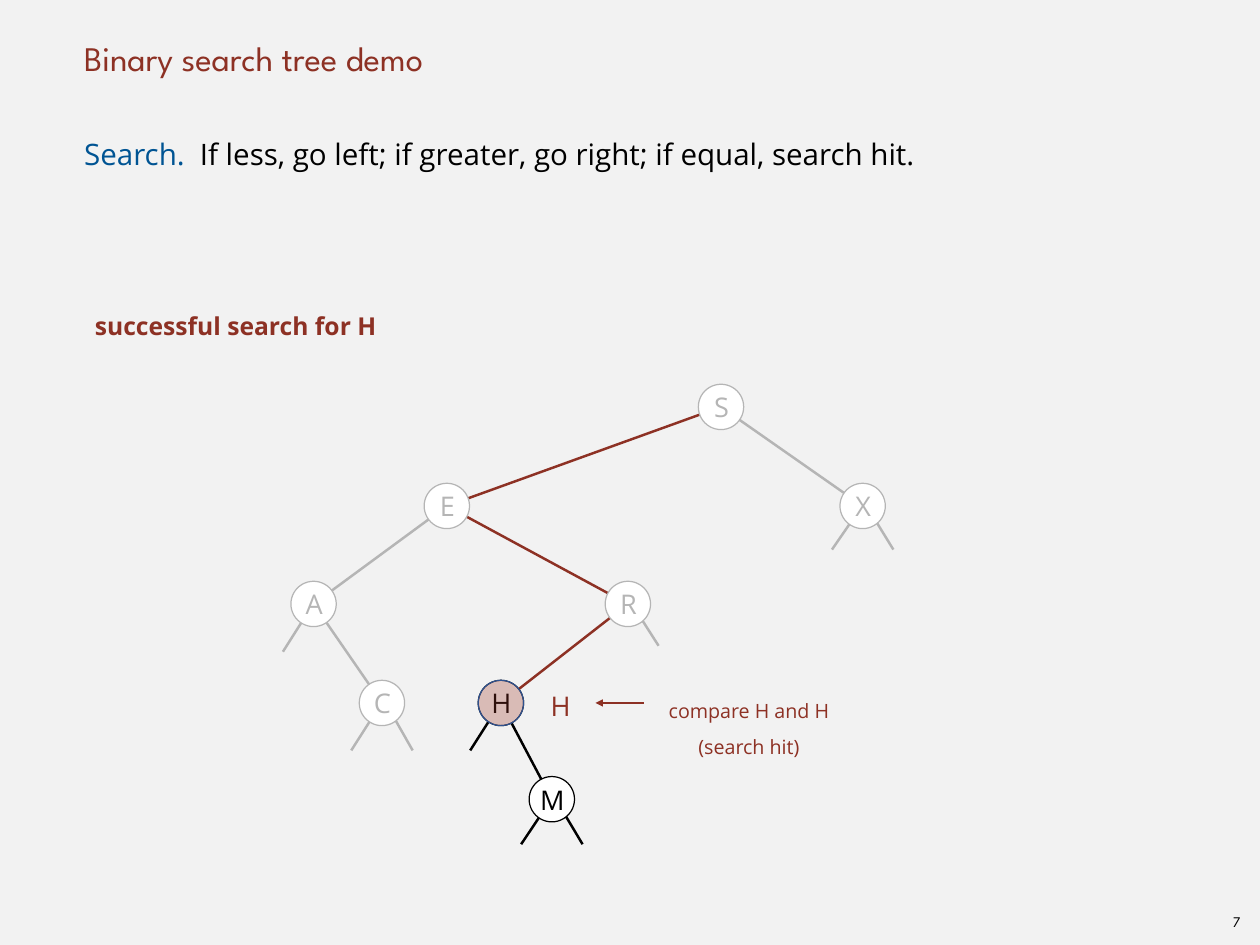
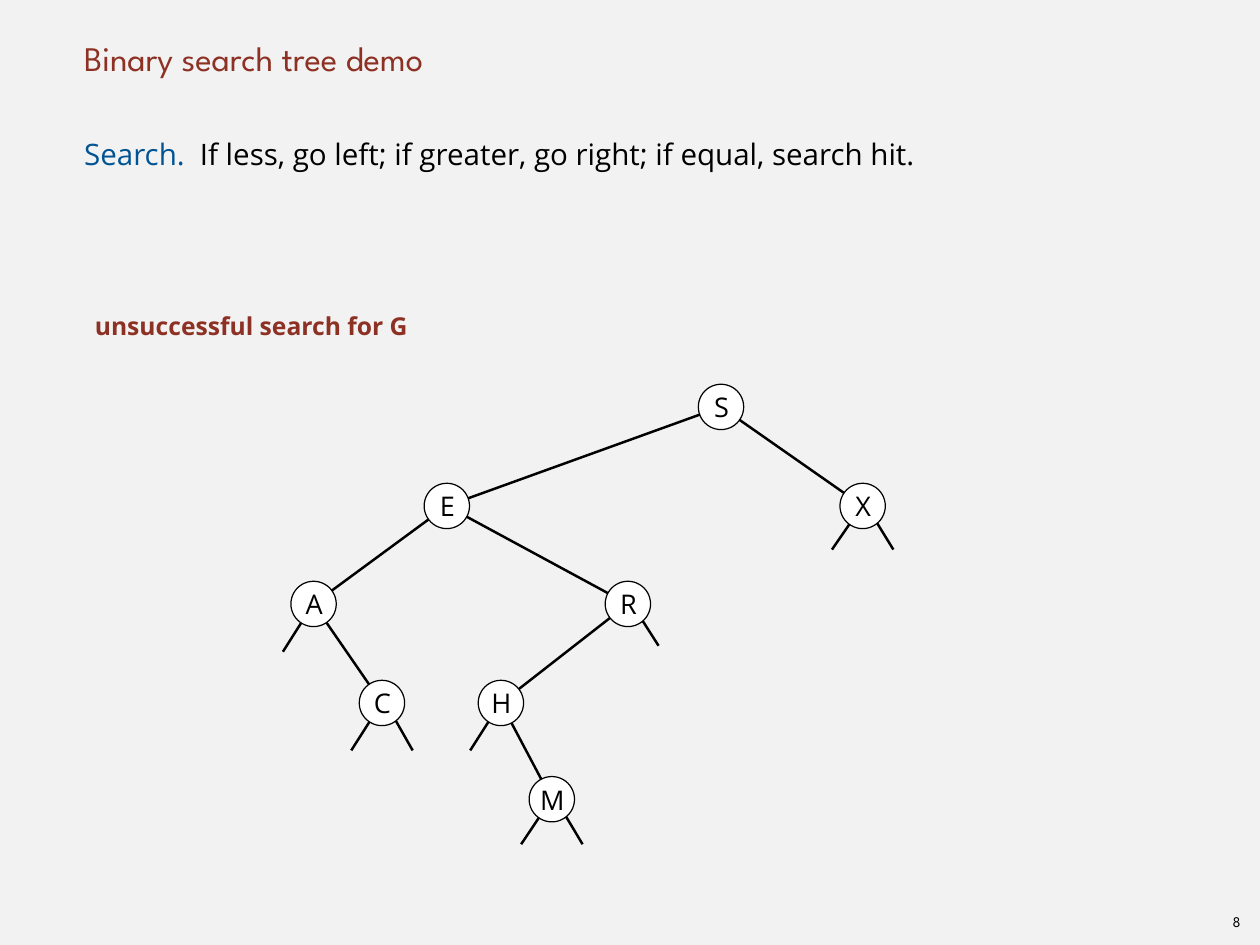
import dataclasses
import typing

import lxml.etree
import pptx
import pptx.dml.color
import pptx.enum.shapes
import pptx.enum.text
import pptx.oxml.ns
import pptx.util

Cm = pptx.util.Cm
Pt = pptx.util.Pt
Rgb = pptx.dml.color.RGBColor
Align = pptx.enum.text.PP_ALIGN
Anchor = pptx.enum.text.MSO_ANCHOR
qn = pptx.oxml.ns.qn


@dataclasses.dataclass(frozen=True)
class Theme:
    paper: Rgb = Rgb(0xF2, 0xF2, 0xF2)
    ink: Rgb = Rgb(0, 0, 0)
    faded: Rgb = Rgb(0xB5, 0xB5, 0xB5)
    accent: Rgb = Rgb(0x8D, 0x31, 0x24)
    term: Rgb = Rgb(0, 0x54, 0x93)
    ring: Rgb = Rgb(0x2F, 0x52, 0x8F)
    white: Rgb = Rgb(0xFF, 0xFF, 0xFF)
    heading_font: str = "League Spartan"
    text_font: str = "Open Sans"
    title_size: float = 28
    body_size: float = 24
    key_size: float = 22
    caption_size: float = 20
    remark_size: float = 16
    number_size: float = 12
    edge_width: float = 2
    node_width: float = 1


THEME = Theme()


class Box(typing.NamedTuple):
    """Left, top, width and height in centimetres."""
    left: float
    top: float
    width: float
    height: float

    def inner(self, left, top, width, height):
        return Box(self.left + left, self.top + top, width, height)

    def lengths(self):
        return [Cm(side) for side in self]


class Node(typing.NamedTuple):
    """Centre within the tree, parent key, sides of empty links, their drop."""
    x: float
    y: float
    parent: str = ""
    empty_links: tuple = ()
    drop: float = 0


LEFT, RIGHT = -1, 1
NODES = {
    "S": Node(12.67, 0.67),
    "E": Node(4.81, 3.51, "S"),
    "X": Node(16.73, 3.51, "S", (LEFT, RIGHT), 1.25),
    "A": Node(0.99, 6.32, "E", (LEFT,), 1.37),
    "R": Node(10, 6.32, "E", (RIGHT,), 1.2),
    "C": Node(2.95, 9.16, "A", (LEFT, RIGHT), 1.36),
    "H": Node(6.36, 9.16, "R", (LEFT,), 1.36),
    "M": Node(7.82, 11.92, "H", (LEFT, RIGHT), 1.29),
}
DIAMETER = 1.3
LINK_REACH = 0.88
INDENT = 0.15

TITLE = Box(2.26, 0, 31.6, 2.26)
BODY = Box(2.26, 3.53, 31.6, 22.58)
CAPTION = Box(2.57, 8.92, 14, 1.1)
TREE = Box(8, 11, 18, 13.3)
NUMBER = Box(34.7, 26.04, 1.5, 0.8)


def set_frame(frame, anchor=Anchor.TOP):
    frame.word_wrap = True
    frame.auto_size = pptx.enum.text.MSO_AUTO_SIZE.NONE
    frame.vertical_anchor = anchor
    frame.margin_left = frame.margin_right = 0
    frame.margin_top = frame.margin_bottom = 0


def format_paragraph(paragraph, size, color, font=THEME.text_font,
                     align=Align.LEFT, indent=INDENT, bold=False):
    properties = paragraph._p.get_or_add_pPr()
    properties.set("marL", str(Cm(indent)))
    properties.set("indent", "0")
    paragraph.alignment = align
    paragraph.space_before = Pt(0)
    lxml.etree.SubElement(properties, qn("a:buNone"))
    paragraph.font.name = font
    paragraph.font.size = Pt(size)
    paragraph.font.bold = bold
    paragraph.font.color.rgb = color


def add_label(shapes, box, lines, size, color, anchor=Anchor.TOP,
              spacing=None, **style):
    frame = shapes.add_textbox(*box.lengths()).text_frame
    set_frame(frame, anchor)
    frame.text = "\n".join(lines)
    for paragraph in frame.paragraphs:
        format_paragraph(paragraph, size, color, **style)
        if spacing:
            paragraph.line_spacing = spacing


def add_line(shapes, start, end, color, arrow_at_start=False):
    line = shapes.add_connector(
        pptx.enum.shapes.MSO_CONNECTOR.STRAIGHT,
        *(Cm(coordinate) for coordinate in (*start, *end)))
    line.line.color.rgb = color
    line.line.width = Pt(THEME.edge_width)
    properties = line._element.spPr
    if arrow_at_start:
        stroke = properties.find(qn("a:ln"))
        lxml.etree.SubElement(stroke, qn("a:headEnd"), type="triangle")
    lxml.etree.SubElement(properties, qn("a:effectLst"))


def add_circle(shapes, box, fill, outline):
    circle = shapes.add_shape(pptx.enum.shapes.MSO_SHAPE.OVAL, *box.lengths())
    circle.shadow.inherit = False
    circle.fill.solid()
    circle.fill.fore_color.rgb = fill
    circle.line.color.rgb = outline
    circle.line.width = Pt(THEME.node_width)
    return circle


def node_box(tree, key):
    node = NODES[key]
    return tree.inner(node.x - DIAMETER / 2, node.y - DIAMETER / 2,
                      DIAMETER, DIAMETER)


def draw_tree(slide, tree, active, search_path=""):
    """Draw the tree; keys outside active are faded, links on the path marked."""
    shapes = slide.shapes.add_group_shape().shapes
    colors = {key: THEME.ink if key in active else THEME.faded for key in NODES}
    centres = {key: (tree.left + node.x, tree.top + node.y)
               for key, node in NODES.items()}
    for key, node in NODES.items():
        x, y = centres[key]
        for side in node.empty_links:
            add_line(shapes, (x + 0.05, y - 0.1),
                     (x + side * LINK_REACH, y + node.drop), colors[key])
        if node.parent:
            color = THEME.accent if key in search_path else colors[key]
            add_line(shapes, centres[node.parent], centres[key], color)
    for key, color in colors.items():
        circle = add_circle(shapes, node_box(tree, key), THEME.white, color)
        frame = circle.text_frame
        set_frame(frame, Anchor.MIDDLE)
        frame.text = key
        format_paragraph(frame.paragraphs[0], THEME.key_size, color,
                         align=Align.CENTER, indent=0.03)


def mark_comparison(slide, tree, key, remark):
    """Tint the node and put the sought key, an arrow and a remark beside it."""
    spot = node_box(tree, key)
    add_label(slide.shapes, spot.inner(1.7, 0.08, DIAMETER, DIAMETER), [key],
              THEME.key_size, THEME.accent, Anchor.MIDDLE,
              align=Align.CENTER, indent=0.03)
    add_label(slide.shapes, spot.inner(4.98, 0.2, 5.41, 1.88), remark,
              THEME.remark_size, THEME.accent, spacing=1.5, align=Align.CENTER)
    arrow_y = spot.top + DIAMETER / 2
    add_line(slide.shapes, (spot.left + 3.36, arrow_y),
             (spot.left + 4.75, arrow_y), THEME.accent, arrow_at_start=True)
    tint = add_circle(slide.shapes, spot, THEME.accent, THEME.ring)
    color = tint._element.spPr.find(qn("a:solidFill")).find(qn("a:srgbClr"))
    lxml.etree.SubElement(color, qn("a:alpha"), val="33000")


def write_rule(frame):
    set_frame(frame)
    rule = frame.paragraphs[0]
    format_paragraph(rule, THEME.body_size, THEME.ink)
    rule.line_spacing = Pt(39)
    term = rule.add_run()
    term.text = "Search."
    term.font.color.rgb = THEME.term
    gap = rule.add_run()
    gap.text = " "
    gap.font._element.set("spc", "600")
    rule.add_run().text = ("If less, go left; if greater, go right; "
                           "if equal, search hit.")


def add_demo_slide(deck, layout, number, caption):
    slide = deck.slides.add_slide(layout)
    heading = slide.shapes.title.text_frame
    set_frame(heading, Anchor.BOTTOM)
    heading.text = "Binary search tree demo"
    format_paragraph(heading.paragraphs[0], THEME.title_size, THEME.accent,
                     THEME.heading_font)
    write_rule(slide.placeholders[1].text_frame)
    add_label(slide.shapes, CAPTION, [caption], THEME.caption_size,
              THEME.accent, bold=True)
    add_label(slide.shapes, NUMBER, [str(number)], THEME.number_size,
              THEME.ink, Anchor.MIDDLE, font=THEME.heading_font,
              align=Align.CENTER, indent=0)
    return slide


def prepare_layout(deck):
    background = deck.slide_master.background.fill
    background.solid()
    background.fore_color.rgb = THEME.paper
    layout = deck.slide_layouts[1]
    for placeholder, box in zip(layout.placeholders, (TITLE, BODY)):
        (placeholder.left, placeholder.top,
         placeholder.width, placeholder.height) = box.lengths()
    return layout


def main():
    deck = pptx.Presentation()
    deck.slide_width, deck.slide_height = Cm(36.12), Cm(27.1)
    layout = prepare_layout(deck)

    hit = add_demo_slide(deck, layout, 7, "successful search for H")
    draw_tree(hit, TREE, active="HM", search_path="SERH")
    mark_comparison(hit, TREE, "H", ["compare H and H", "(search hit)"])

    miss = add_demo_slide(deck, layout, 8, "unsuccessful search for G")
    draw_tree(miss, TREE, active=tuple(NODES))

    deck.save("out.pptx")


if __name__ == "__main__":
    main()
